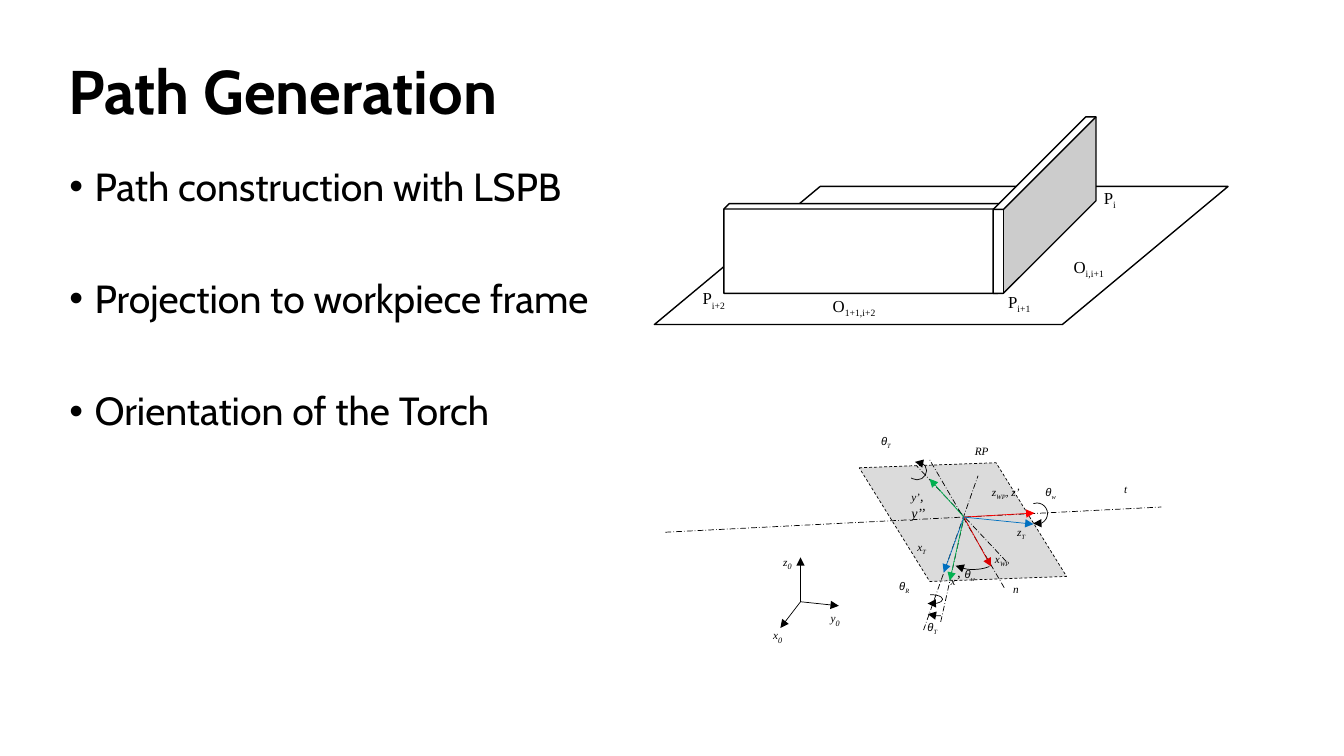
import lxml.etree
import pptx
import pptx.dml.color
import pptx.enum.dml
import pptx.enum.shapes
import pptx.enum.text
import pptx.oxml.ns
import pptx.util

Pt = pptx.util.Pt
Form = pptx.enum.shapes.MSO_SHAPE
Dash = pptx.enum.dml.MSO_LINE
Align = pptx.enum.text.PP_ALIGN
Anchor = pptx.enum.text.MSO_ANCHOR
qn = pptx.oxml.ns.qn

ROWS = 750
CELL = pptx.util.Inches(7.5 / ROWS)
SERIF = "Times New Roman"
BLACK, WHITE, RED, GREEN, BLUE = "000000", "FFFFFF", "FF0000", "00B050", "0070C0"

TITLE = (58, 21, 825, 145)
BODY = (59, 161, 608, 518)
WELD = (649, 116, 569, 206)
FRAME = (660, 426, 492, 228)

POINTS = ["Path construction with LSPB", "Projection to workpiece frame",
          "Orientation of the Torch"]

JOINTS = [
    ((341, 168, 69, 42), "P", "i+1"),
    ((406, 134, 76, 54), "O", "i,i+1"),
    ((38, 165, 85, 51), "P", "i+2"),
    ((167, 172, 85, 53), "O", "1+1,i+2"),
    ((436, 65, 81, 63), "P", "i"),
]

HUB = (296, 87)
BASE = (134, 171)
UNDER = [((0, 102), (492, 77)), ((338, 131), (249, 36)), ((336, 157), (262, 30))]
OVER = [((273, 191), (296, 88)), ((256, 199), (310, 46))]
RAYS = [
    (HUB, (366, 83), RED), (HUB, (282, 150), GREEN), (HUB, (262, 49), GREEN),
    (HUB, (276, 142), BLUE), (HUB, (365, 94), BLUE),
    (BASE, (134, 127), BLACK), (BASE, (172, 175), BLACK), (BASE, (114, 197), BLACK),
]
TURNS = [
    ((252, 164, 23, 9), (154.12, 77.18), "tailEnd"),
    ((272, 90, 67, 49), (32.34, 78.26), "tailEnd"),
    ((239, 138, 68, 47), (53.79, 72.31), "tailEnd"),
    ((358, 73, 21, 21), (150.19, 66.6), "tailEnd"),
    ((240, 32, 19, 18), (154.12, 77.18), "headEnd"),
]
SIGNS = [
    ((335, 147, 34, 36), [("n", 8, False)]),
    ((445, 48, 38, 40), [("t", 8, False)]),
    ((297, 10, 74, 36), [("RP", 8, False)]),
    ((317, 117, 55, 42), [("x", 8, False), ("WP", 8, True)]),
    ((287, 132, 46, 42), [("θ", 8, False), ("w", 8, True)]),
    ((273, 136, 56, 46), [("x", 8, False), ("’", 10, False)]),
    ((222, 144, 57, 42), [("θ", 8, False), ("R", 8, True)]),
    ((314, 51, 82, 47), [("z", 8, False), ("WP", 8, True), (", z’", 8, False)]),
    ((234, 53, 43, 37), [("y’", 8, False), (", y’’", 10, False)]),
    ((240, 105, 53, 50), [("x", 8, False), ("T", 8, True)]),
    ((367, 51, 72, 50), [("θ", 8, False), ("w", 8, True)]),
    ((204, 0, 47, 34), [("θ", 8, False), ("T", 8, True)]),
    ((339, 90, 49, 46), [("z", 8, False), ("T", 8, True)]),
    ((250, 185, 49, 43), [("θ", 8, False), ("T", 8, True)]),
    ((97, 190, 34, 36), [("x", 8, False), ("0", 10, True)]),
    ((154, 173, 34, 36), [("y", 8, False), ("0", 10, True)]),
    ((107, 117, 34, 36), [("z", 8, False), ("0", 10, True)]),
]


def color(code):
    return pptx.dml.color.RGBColor.from_string(code)


def place(box, spot):
    x, y, w, h = spot
    return [round(n * CELL) for n in (box[0] + x, box[1] + y, w, h)]


def ink(line, code, width, dash=None):
    line.color.rgb = color(code)
    line.width = Pt(width)
    if dash:
        line.dash_style = dash


def tip(item, end):
    mark = lxml.etree.SubElement(item.line._get_or_add_ln(), qn("a:" + end))
    mark.set("type", "triangle")


def write(para, text, size, font, bold=False, slant=False, low=False):
    run = para.add_run()
    run.text = text
    run.font.name, run.font.size = font, Pt(size)
    run.font.bold, run.font.italic = bold, slant
    run.font.color.rgb = color(BLACK)
    if low:
        run._r.get_or_add_rPr().set("baseline", "-25000")


def frame_text(shapes, box, spot):
    frame = shapes.add_textbox(*place(box, spot)).text_frame
    frame.word_wrap = True
    return frame


def label(shapes, box, spot, runs, slant):
    para = frame_text(shapes, box, spot).paragraphs[0]
    para.alignment = Align.JUSTIFY
    for text, size, low in runs:
        write(para, text, size, "Arial" if text == "θ" else SERIF, slant=slant, low=low)


def solid(shapes, box, spot, form, turn, fill, width):
    item = shapes.add_shape(form, *place(box, spot))
    item.shadow.inherit = False
    for n, value in enumerate(turn):
        item.adjustments[n] = value
    if fill:
        item.fill.solid()
        item.fill.fore_color.rgb = color(fill)
    else:
        item.fill.background()
    ink(item.line, BLACK, width)
    return item


def stroke(shapes, box, start, end, code=BLACK, dash=None):
    ends = [round((box[n % 2] + v) * CELL) for n, v in enumerate(start + end)]
    item = shapes.add_connector(pptx.enum.shapes.MSO_CONNECTOR.STRAIGHT, *ends)
    ink(item.line, code, 0.5, dash)
    lxml.etree.SubElement(item._element.spPr, qn("a:effectLst"))
    return item


def axes(shapes, box, pairs):
    for start, end in pairs:
        stroke(shapes, box, start, end, dash=Dash.LONG_DASH_DOT)


def ray(shapes, box, start, end, code):
    tip(stroke(shapes, box, start, end, code), "tailEnd")


def head(slide, box):
    frame = frame_text(slide.shapes, box, (0, 0, box[2], box[3]))
    frame.vertical_anchor = Anchor.MIDDLE
    para = frame.paragraphs[0]
    para.line_spacing = 0.9
    write(para, "Path Generation", 44, "Cabin", bold=True)


def body(slide, box):
    frame = frame_text(slide.shapes, box, (0, 0, box[2], box[3]))
    for n, text in enumerate(POINTS):
        para = frame.add_paragraph() if n else frame.paragraphs[0]
        props = para._p.get_or_add_pPr()
        props.set("marL", str(25 * CELL))
        props.set("indent", str(-25 * CELL))
        lxml.etree.SubElement(props, qn("a:buFont")).set("typeface", "Arial")
        lxml.etree.SubElement(props, qn("a:buChar")).set("char", "•")
        para.line_spacing = 0.9
        if n:
            para.space_before = Pt(50)
        write(para, text, 28, "Cabin")


def weld(slide, box):
    shapes = slide.shapes.add_group_shape().shapes
    solid(shapes, box, (0, 69, 569, 137), Form.PARALLELOGRAM, [1.2], WHITE, 1)
    solid(shapes, box, (69, 86, 277, 89), Form.CUBE, [0.06], WHITE, 1)
    solid(shapes, box, (336, 0, 102, 175), Form.CUBE, [0.9], WHITE, 1)
    for spot, name, sub in JOINTS:
        label(shapes, box, spot, [(name, 12, False), (sub, 12, True)], False)


def torch(slide, box):
    shapes = slide.shapes.add_group_shape().shapes
    axes(shapes, box, UNDER)
    ray(shapes, box, HUB, (323, 136), RED)
    plate = solid(shapes, box, (195, 33, 200, 118), Form.PARALLELOGRAM, [0.57], BLACK, 0.5)
    plate.rotation = 58.2
    plate.line.dash_style = Dash.DASH
    tint = plate._element.spPr.find(qn("a:solidFill"))[0]
    lxml.etree.SubElement(tint, qn("a:alpha")).set("val", "14000")
    axes(shapes, box, OVER)
    for start, end, code in RAYS:
        ray(shapes, box, start, end, code)
    for spot, turn, end in TURNS:
        tip(solid(shapes, box, spot, Form.ARC, turn, None, 0.5), end)
    for spot, runs in SIGNS:
        label(shapes, box, spot, runs, True)


def main():
    deck = pptx.Presentation()
    deck.slide_width = pptx.util.Inches(13.33)
    deck.slide_height = ROWS * CELL
    slide = deck.slides.add_slide(deck.slide_layouts[6])
    head(slide, TITLE)
    body(slide, BODY)
    weld(slide, WELD)
    torch(slide, FRAME)
    deck.save("out.pptx")


if __name__ == "__main__":
    main()
